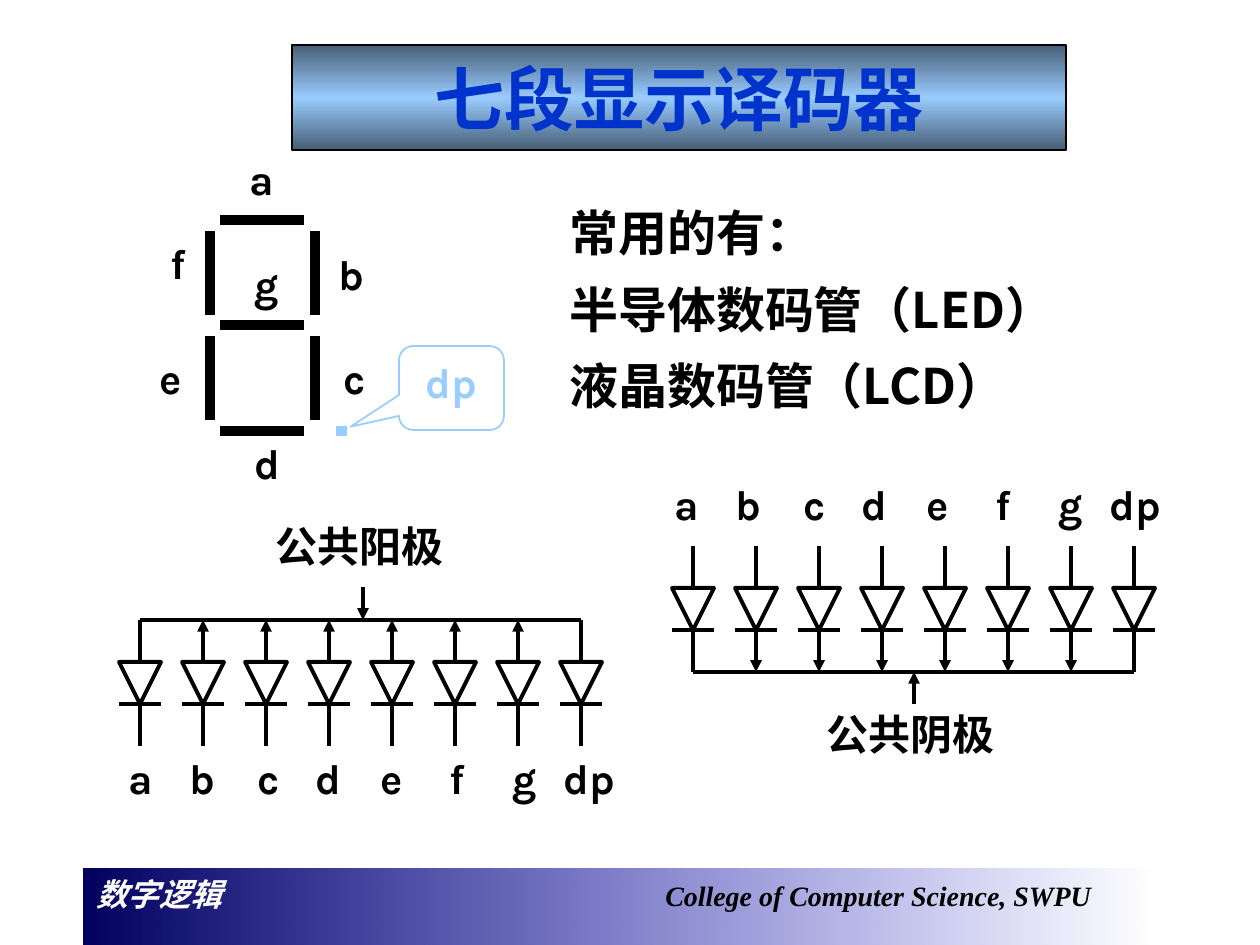
from dataclasses import dataclass

import pptx
import pptx.dml.color
import pptx.enum.shapes
import pptx.enum.text
import pptx.oxml.ns
import pptx.util
from lxml import etree

qn = pptx.oxml.ns.qn
Kind = pptx.enum.shapes.MSO_SHAPE
Align = pptx.enum.text.PP_ALIGN
SCALE = 914400 / 126  # EMU per px


@dataclass(frozen=True)
class Theme:
    ink: str = "000000"
    paper: str = "FFFFFF"
    title: str = "0033CC"
    light: str = "99CCFF"
    steel: str = "475E76"
    navy: str = "00005E"
    blue: str = "0000CC"
    font: str = "Karla"
    serif: str = "Times New Roman"
    han: str = "Noto Sans CJK SC"
    head: int = 40
    body: int = 28
    label: int = 24
    foot: int = 18
    small: int = 16
    wire: float = 2.25
    seg: float = 6


@dataclass(frozen=True)
class Pin:
    name: str
    width: int
    shift: int  # label's left edge from its diode


@dataclass(frozen=True)
class Bank:
    x: int
    y: int
    rail: int
    tip: str  # arrow end of the inner stems
    text_y: int
    nudge: int
    name: str
    name_x: int
    name_y: int
    feed: tuple[int, int, int]  # x, top, bottom
    feed_tip: str


T = Theme()
PINS = [Pin("a", 50, -31), Pin("b", 52, -33), Pin("c", 47, -28),
        Pin("d", 52, -33), Pin("e", 49, -31), Pin("f", 42, -25),
        Pin("g", 52, -25), Pin("dp", 78, -37)]
STEP, SIDE = 63, 42


def px(n: float) -> int:
    return round(n * SCALE)


def rgb(code: str) -> pptx.dml.color.RGBColor:
    return pptx.dml.color.RGBColor.from_string(code)


def style(para, size: int, color: str, font: str = T.font) -> None:
    para.font.size = pptx.util.Pt(size)
    para.font.bold = True
    para.font.name = font
    para.font.color.rgb = rgb(color)
    ea = etree.SubElement(para._p.pPr.find(qn("a:defRPr")), qn("a:ea"))
    ea.set("typeface", T.han)


def line(box, x1: int, y1: int, x2: int, y2: int, color: str = T.ink,
         width: float = T.wire, tip: str = "") -> None:
    wire = box.add_connector(pptx.enum.shapes.MSO_CONNECTOR.STRAIGHT,
                             px(x1), px(y1), px(x2), px(y2))
    wire.line.color.rgb = rgb(color)
    wire.line.width = pptx.util.Pt(width)
    if tip:
        end = etree.SubElement(wire.line._get_or_add_ln(), qn(f"a:{tip}End"))
        end.set("type", "triangle")
    etree.SubElement(wire._element.spPr, qn("a:effectLst"))


def shape(box, kind, x: int, y: int, w: int, h: int):
    item = box.add_shape(kind, px(x), px(y), px(w), px(h))
    item.shadow.inherit = False
    return item


def edge(item, color: str, width: float) -> None:
    item.line.color.rgb = rgb(color)
    item.line.width = pptx.util.Pt(width)


def blend(item, angle: int, stops: list[tuple[int, str, int]]) -> None:
    """Fill with stops of (percent, colour, opacity percent)."""
    item.fill.gradient()
    item.fill.gradient_angle = angle
    group = item._element.spPr.find(".//" + qn("a:gsLst"))
    for old in list(group):
        group.remove(old)
    for pos, color, alpha in stops:
        stop = etree.SubElement(group, qn("a:gs"), pos=str(pos * 1000))
        tint = etree.SubElement(stop, qn("a:srgbClr"), val=color)
        if alpha < 100:
            etree.SubElement(tint, qn("a:alpha"), val=str(alpha * 1000))


def text(box, x: int, y: int, w: int, h: int, words: list[str],
         size: int = T.label, font: str = T.font, wrap: bool = False,
         space: float | None = None) -> None:
    frame = box.add_textbox(px(x), px(y), px(w), px(h)).text_frame
    frame.word_wrap = wrap
    frame.auto_size = pptx.enum.text.MSO_AUTO_SIZE.SHAPE_TO_FIT_TEXT
    frame.text = "\n".join(words)
    for para in frame.paragraphs:
        para.line_spacing = space
        style(para, size, T.ink, font)


def draw_bank(box, bank: Bank) -> None:
    last = bank.x + STEP * (len(PINS) - 1)
    for i, pin in enumerate(PINS):
        x = bank.x + i * STEP
        left = x - SIDE // 2
        inner = 0 < i < len(PINS) - 1
        line(box, x, bank.y, x, bank.y + 3 * SIDE, tip=bank.tip if inner else "")
        diode = shape(box, Kind.ISOSCELES_TRIANGLE, left, bank.y + SIDE, SIDE, SIDE)
        diode._element.spPr.xfrm.set("flipV", "1")
        diode.fill.solid()
        diode.fill.fore_color.rgb = rgb(T.paper)
        edge(diode, T.ink, T.wire)
        line(box, left, bank.y + 2 * SIDE, left + SIDE, bank.y + 2 * SIDE)
        text(box, x + pin.shift + bank.nudge, bank.text_y, pin.width, 63, [pin.name])
    line(box, bank.x, bank.rail, last, bank.rail)
    x, top, low = bank.feed
    line(box, x, top, x, low, tip=bank.feed_tip)
    text(box, bank.name_x, bank.name_y, 193, 63, [bank.name])


def draw_digit(box) -> None:
    for y in (220, 325, 431):
        line(box, 220, y, 304, y, width=T.seg)
    for x in (210, 315):
        for y in (231, 336):
            line(box, x, y, x, y + 84, width=T.seg)
    spots = [(237, 147), (326, 242), (331, 346), (242, 431),
             (147, 346), (158, 231), (242, 252)]
    for pin, (x, y) in zip(PINS, spots):
        text(box, x, y, pin.width, 63, [pin.name])


def draw_point(box) -> None:
    line(box, 336, 431, 347, 431, T.light, T.seg)
    note = shape(box, Kind.ROUNDED_RECTANGULAR_CALLOUT, 399, 346, 105, 84)
    for i, value in enumerate((-0.96, 0.46, 0.17)):
        note.adjustments[i] = value
    note.fill.background()
    edge(note, T.light, 1)
    note.text_frame.text = "dp"
    note.text_frame.vertical_anchor = pptx.enum.text.MSO_ANCHOR.TOP
    para = note.text_frame.paragraphs[0]
    para.alignment = Align.CENTER
    style(para, T.label, T.light)


def draw_foot(box) -> None:
    bar = shape(box, Kind.RECTANGLE, 84, 869, 1071, 88)
    blend(bar, 0, [(0, T.navy, 100), (100, T.blue, 0)])
    bar.line.fill.background()
    bar.text_frame.vertical_anchor = pptx.enum.text.MSO_ANCHOR.TOP
    para = bar.text_frame.paragraphs[0]
    para.alignment = Align.LEFT
    tabs = etree.SubElement(para._p.get_or_add_pPr(), qn("a:tabLst"))
    etree.SubElement(tabs, qn("a:tab"), pos=str(px(569)), algn="l")
    style(para, T.foot, T.paper, T.serif)
    para.font.italic = True
    for words, size, color in (("数字逻辑\t", T.foot, T.paper),
                               ("College of Computer Science, SWPU", T.small, T.ink)):
        run = para.add_run()
        run.text = words
        run.font.size = pptx.util.Pt(size)
        run.font.color.rgb = rgb(color)


def draw_title(box) -> None:
    bar = shape(box, Kind.RECTANGLE, 292, 45, 774, 105)
    blend(bar, 270, [(0, T.steel, 100), (50, T.light, 100), (100, T.steel, 100)])
    edge(bar, T.ink, 0.75)
    bar.text_frame.text = "七段显示译码器"
    para = bar.text_frame.paragraphs[0]
    para.alignment = Align.CENTER
    style(para, T.head, T.title)


def main() -> None:
    deck = pptx.Presentation()
    deck.slide_width, deck.slide_height = px(1260), px(945)
    page = deck.slides.add_slide(deck.slide_layouts[6]).shapes
    draw_foot(page)
    draw_title(page)
    # Common cathode, display digit, decimal point
    draw_bank(page.add_group_shape().shapes,
              Bank(693, 546, 672, "tail", 472, 0, "公共阴极", 814, 702,
                   (914, 672, 704), "head"))
    draw_digit(page.add_group_shape().shapes)
    draw_point(page.add_group_shape().shapes)
    # Device types
    text(page, 557, 179, 588, 242,
         ["常用的有：", "半导体数码管（LED）", "液晶数码管（LCD）"],
         T.body, T.han, True, 1.3)
    # Common anode
    draw_bank(page.add_group_shape().shapes,
              Bank(140, 620, 620, "head", 746, 7, "公共阳极", 263, 514,
                   (363, 587, 620), "tail"))
    deck.save("out.pptx")


if __name__ == "__main__":
    main()
